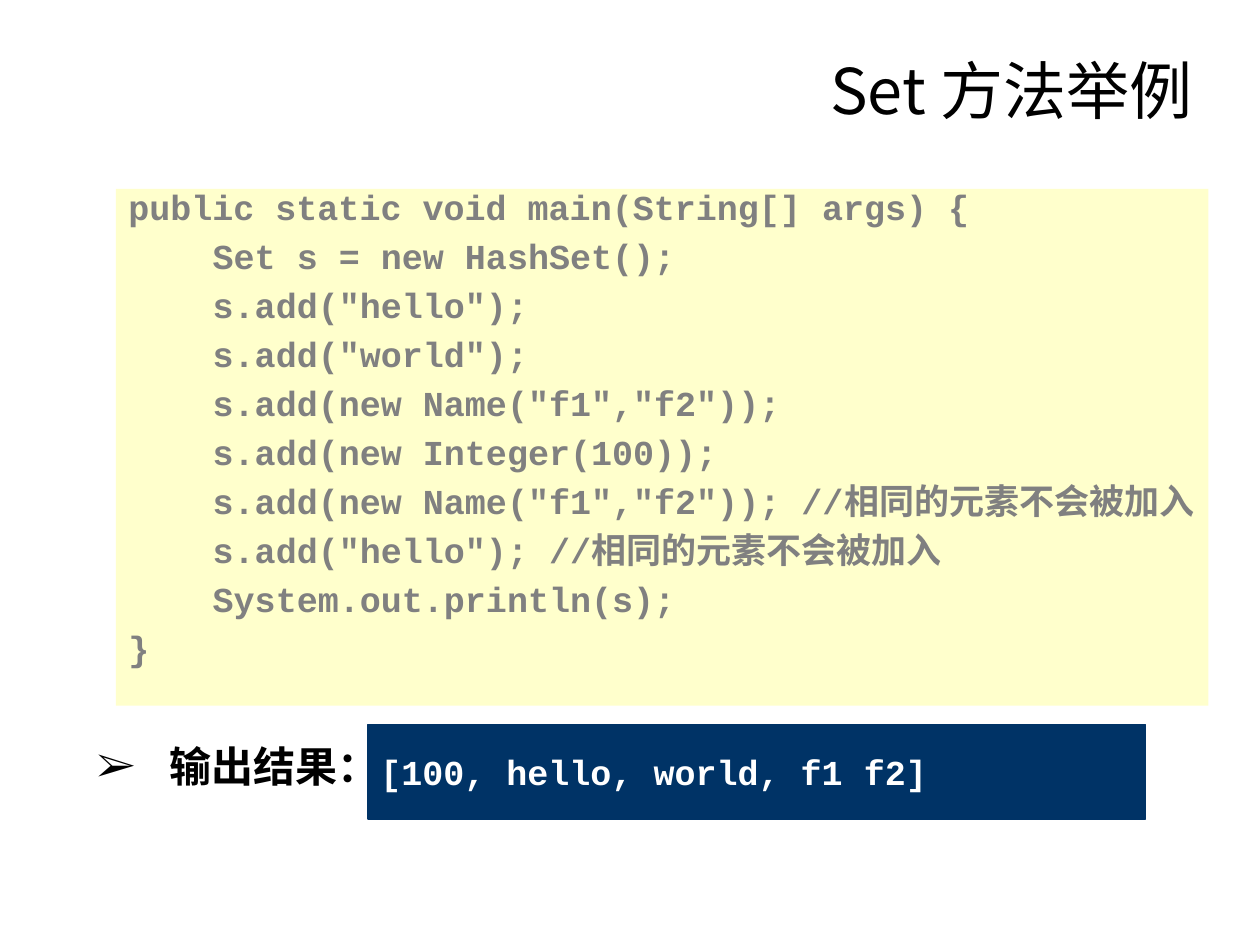
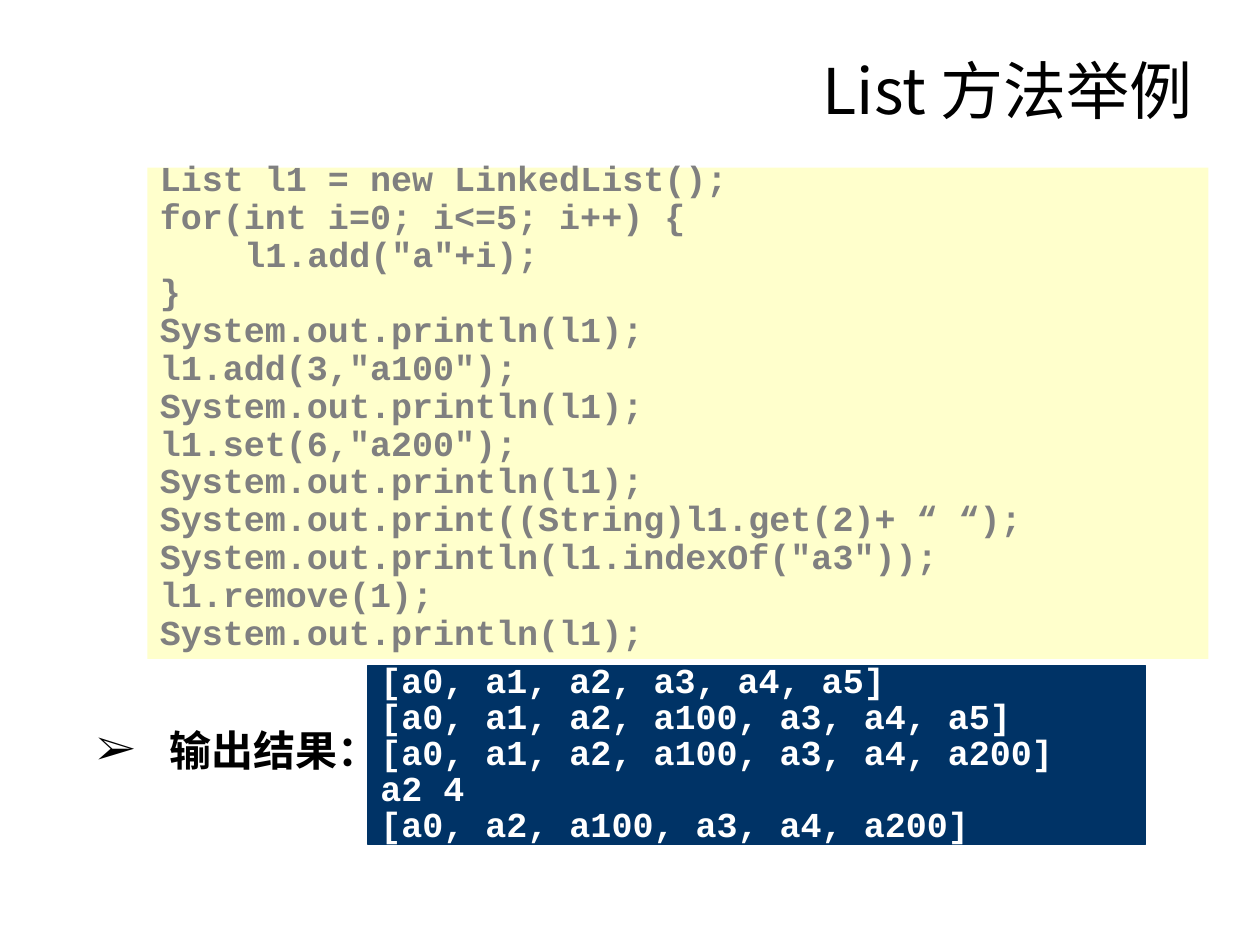
from lxml.etree import SubElement
from pptx import Presentation
from pptx.dml.color import RGBColor
from pptx.enum.shapes import MSO_SHAPE
from pptx.enum.text import MSO_ANCHOR as Anchor, MSO_AUTO_SIZE as AutoSize, PP_ALIGN as Align
from pptx.oxml.ns import qn
from pptx.util import Inches, Pt

COLORS = {"text": "000000", "code": "808080", "code_back": "FFFFCC",
          "output": "FFFFFF", "output_back": "003366"}
SANS, SERIF, MONO = "Noto Sans CJK SC", "Times New Roman", "Courier New"
CODE_SIZE = 20
CODE_INDENT = round(4 * 0.6 * CODE_SIZE / 72, 2)
LABEL = "输出结果："

EXAMPLES = [
    {
        "title": "Set 方法举例",
        "code": [
            (0, "public static void main(String[] args) {"),
            (1, "Set s = new HashSet();"),
            (1, 's.add("hello");'),
            (1, 's.add("world");'),
            (1, 's.add(new Name("f1","f2"));'),
            (1, "s.add(new Integer(100));"),
            (1, 's.add(new Name("f1","f2")); //相同的元素不会被加入'),
            (1, 's.add("hello"); //相同的元素不会被加入'),
            (1, "System.out.println(s);"),
            (0, "}"),
        ],
        "code_box": (0.92, 1.5, 8.67, 4.1),
        "code_spacing": 0.75,
        "code_before": 50,
        "code_anchor": Anchor.TOP,
        "output": ["[100, hello, world, f1 f2]"],
        "output_top": 5.75,
        "output_height": 0.75,
        "output_spacing": 1.0,
        "label_top": 5.83,
    },
    {
        "title": "List 方法举例",
        "code": [
            (0, "List l1 = new LinkedList();"),
            (0, "for(int i=0; i<=5; i++) {"),
            (1, 'l1.add("a"+i);'),
            (0, "}"),
            (0, "System.out.println(l1);"),
            (0, 'l1.add(3,"a100");'),
            (0, "System.out.println(l1);"),
            (0, 'l1.set(6,"a200");'),
            (0, "System.out.println(l1);"),
            (0, "System.out.print((String)l1.get(2)+ “ “);"),
            (0, 'System.out.println(l1.indexOf("a3"));'),
            (0, "l1.remove(1);"),
            (0, "System.out.println(l1);"),
        ],
        "code_box": (1.17, 1.33, 8.42, 3.9),
        "code_spacing": 0.9,
        "code_before": 0,
        "code_anchor": Anchor.BOTTOM,
        "output": [
            "[a0, a1, a2, a3, a4, a5]",
            "[a0, a1, a2, a100, a3, a4, a5]",
            "[a0, a1, a2, a100, a3, a4, a200]",
            "a2 4",
            "[a0, a2, a100, a3, a4, a200]",
        ],
        "output_top": 5.28,
        "output_height": 1.42,
        "output_spacing": 0.86,
        "label_top": 5.7,
    },
]


def rgb(name):
    return RGBColor.from_string(COLORS[name])


def write(frame, lines, font, size, color, bold=True, align=Align.LEFT,
          anchor=Anchor.TOP, spacing=1.0, before=0):
    frame.word_wrap = True
    frame.vertical_anchor = anchor
    for number, line in enumerate(lines):
        paragraph = frame.add_paragraph() if number else frame.paragraphs[0]
        paragraph.text = line
        paragraph.alignment = align
        paragraph.line_spacing = spacing
        paragraph.space_before = Pt(0)
        gap = paragraph._p.pPr.find(qn("a:spcBef"))
        gap.remove(gap[0])
        SubElement(gap, qn("a:spcPct"), val=str(before * 1000))
        paragraph.font.name = font
        paragraph.font.size = Pt(size)
        paragraph.font.bold = bold
        paragraph.font.color.rgb = rgb(color)
        defaults = paragraph._p.pPr.find(qn("a:defRPr"))
        SubElement(defaults, qn("a:ea"), typeface=SANS)


def add_text(slide, box):
    return slide.shapes.add_textbox(*map(Inches, box)).text_frame


def add_panel(slide, box, color, outlined=False):
    panel = slide.shapes.add_shape(MSO_SHAPE.RECTANGLE, *map(Inches, box))
    panel.shadow.inherit = False
    panel.fill.solid()
    panel.fill.fore_color.rgb = rgb(color)
    if outlined:
        panel.line.color.rgb = rgb(color)
        panel.line.width = Pt(0.75)
    else:
        panel.line.fill.background()
    return panel.text_frame


def add_title(slide, title):
    write(add_text(slide, (1.06, 0.08, 8.5, 1.25)), [title], SANS, 36, "text",
          bold=False, align=Align.RIGHT, anchor=Anchor.MIDDLE)


def add_code(slide, example):
    code = add_panel(slide, example["code_box"], "code_back")
    write(code, [line for _, line in example["code"]], MONO, CODE_SIZE, "code",
          anchor=example["code_anchor"], spacing=example["code_spacing"],
          before=example["code_before"])
    code.auto_size = AutoSize.SHAPE_TO_FIT_TEXT
    for paragraph, (level, _) in zip(code.paragraphs, example["code"]):
        paragraph._p.pPr.set("indent", str(Inches(level * CODE_INDENT)))


def add_label(slide, top):
    label = add_text(slide, (0.67, top, 2.33, 0.5))
    write(label, [LABEL], SERIF, 24, "text", before=20)
    properties = label.paragraphs[0]._p.pPr
    properties.set("marL", str(Inches(0.58)))
    properties.set("indent", str(-Inches(0.58)))
    defaults = properties.find(qn("a:defRPr"))
    defaults.addprevious(SubElement(properties, qn("a:buFont"), typeface=SERIF))
    defaults.addprevious(SubElement(properties, qn("a:buChar"), char="➢"))


def add_output(slide, example):
    box = (2.92, example["output_top"], 6.17, example["output_height"])
    output = add_panel(slide, box, "output_back", outlined=True)
    output.margin_top = output.margin_bottom = Inches(0.02)
    write(output, example["output"], MONO, CODE_SIZE, "output",
          anchor=Anchor.MIDDLE, spacing=example["output_spacing"])


deck = Presentation()
deck.slide_width, deck.slide_height = Inches(10), Inches(7.5)
for example in EXAMPLES:
    slide = deck.slides.add_slide(deck.slide_layouts[6])
    add_title(slide, example["title"])
    add_code(slide, example)
    add_label(slide, example["label_top"])
    add_output(slide, example)
deck.save("out.pptx")
